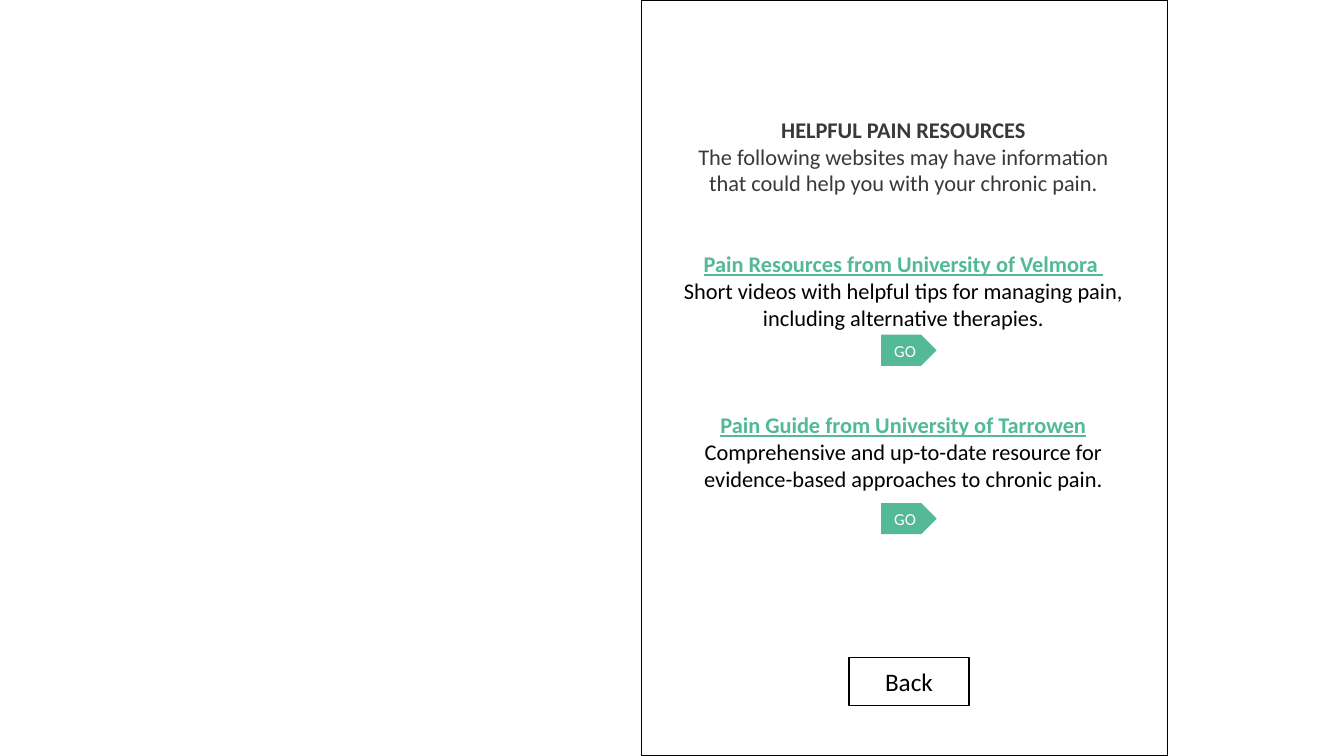
from pptx import Presentation
from pptx.dml.color import RGBColor
from pptx.enum.shapes import MSO_SHAPE
from pptx.enum.text import MSO_ANCHOR, PP_ALIGN
from pptx.util import Inches, Pt

BLACK = RGBColor(0x00, 0x00, 0x00)
WHITE = RGBColor(0xFF, 0xFF, 0xFF)
GRAY = RGBColor(0x3B, 0x38, 0x38)
GREEN = RGBColor(0x53, 0xB9, 0x97)
LINE = 19.2

SITES = [
    ("Pain Resources from University of Velmora ",
     "Short videos with helpful tips for managing pain, including alternative therapies.",
     2, 3.32),
    ("Pain Guide from University of Tarrowen",
     "Comprehensive and up-to-date resource for evidence-based approaches to chronic pain.",
     3, 4.99),
]


def write(para, text, size=16, color=BLACK, bold=False, under=False, gap=0):
    """Put centred, formatted text in a paragraph, with a gap in lines above it."""
    para.alignment = PP_ALIGN.CENTER
    para.space_before = Pt(gap * LINE)
    run = para.add_run()
    run.text = text
    font = run.font
    font.name = "Calibri"
    font.size = Pt(size)
    font.bold = bold
    font.underline = under
    font.color.rgb = color


def add_box(slide, kind, left, top, width, height, fill=None, line=None):
    """Add a preset shape with an optional fill and outline."""
    box = slide.shapes.add_shape(
        kind, Inches(left), Inches(top), Inches(width), Inches(height))
    box.shadow.inherit = False
    if fill is None:
        box.fill.background()
    else:
        box.fill.solid()
        box.fill.fore_color.rgb = fill
    if line is None:
        box.line.fill.background()
    else:
        box.line.color.rgb = line
        box.line.width = Pt(1)
    return box


def add_button(slide, text, kind, left, top, width, height, size, color, **look):
    """Add a shape with a centred label."""
    box = add_box(slide, kind, left, top, width, height, **look)
    frame = box.text_frame
    frame.word_wrap = True
    frame.vertical_anchor = MSO_ANCHOR.MIDDLE
    write(frame.paragraphs[0], text, size=size, color=color)


def add_guide(slide):
    """Add the heading and the list of websites."""
    box = slide.shapes.add_textbox(
        Inches(6.67), Inches(0.84), Inches(4.58), Inches(5.76))
    frame = box.text_frame
    frame.word_wrap = True
    frame.margin_top = Inches(0.31)
    write(frame.paragraphs[0], "HELPFUL PAIN RESOURCES", color=GRAY, bold=True)
    write(frame.add_paragraph(),
          "The following websites may have information that could help you "
          "with your chronic pain.", color=GRAY)
    for title, about, gap, _ in SITES:
        write(frame.add_paragraph(), title, color=GREEN, bold=True,
              under=True, gap=gap)
        write(frame.add_paragraph(), about)


def main():
    """Build the slide and save it."""
    deck = Presentation()
    deck.slide_width = Inches(13.33)
    deck.slide_height = Inches(7.5)
    slide = deck.slides.add_slide(deck.slide_layouts[6])
    add_box(slide, MSO_SHAPE.RECTANGLE, 6.36, 0, 5.22, 7.5, line=BLACK)
    add_guide(slide)
    for *_, top in SITES:
        add_button(slide, "GO", MSO_SHAPE.PENTAGON, 8.74, top, 0.55, 0.31,
                   size=12, color=WHITE, fill=GREEN)
    add_button(slide, "Back", MSO_SHAPE.RECTANGLE, 8.42, 6.52, 1.19, 0.48,
               size=18, color=BLACK, line=BLACK)
    deck.save("out.pptx")


if __name__ == "__main__":
    main()
